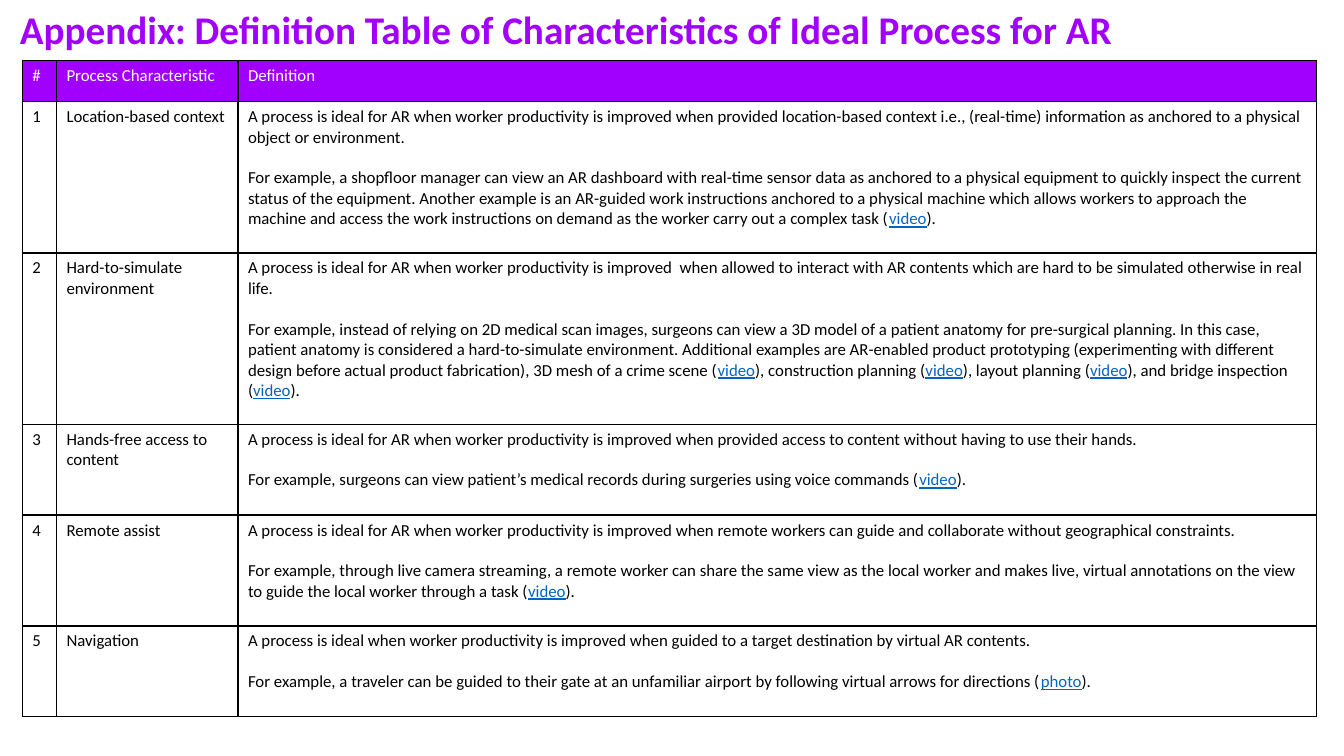
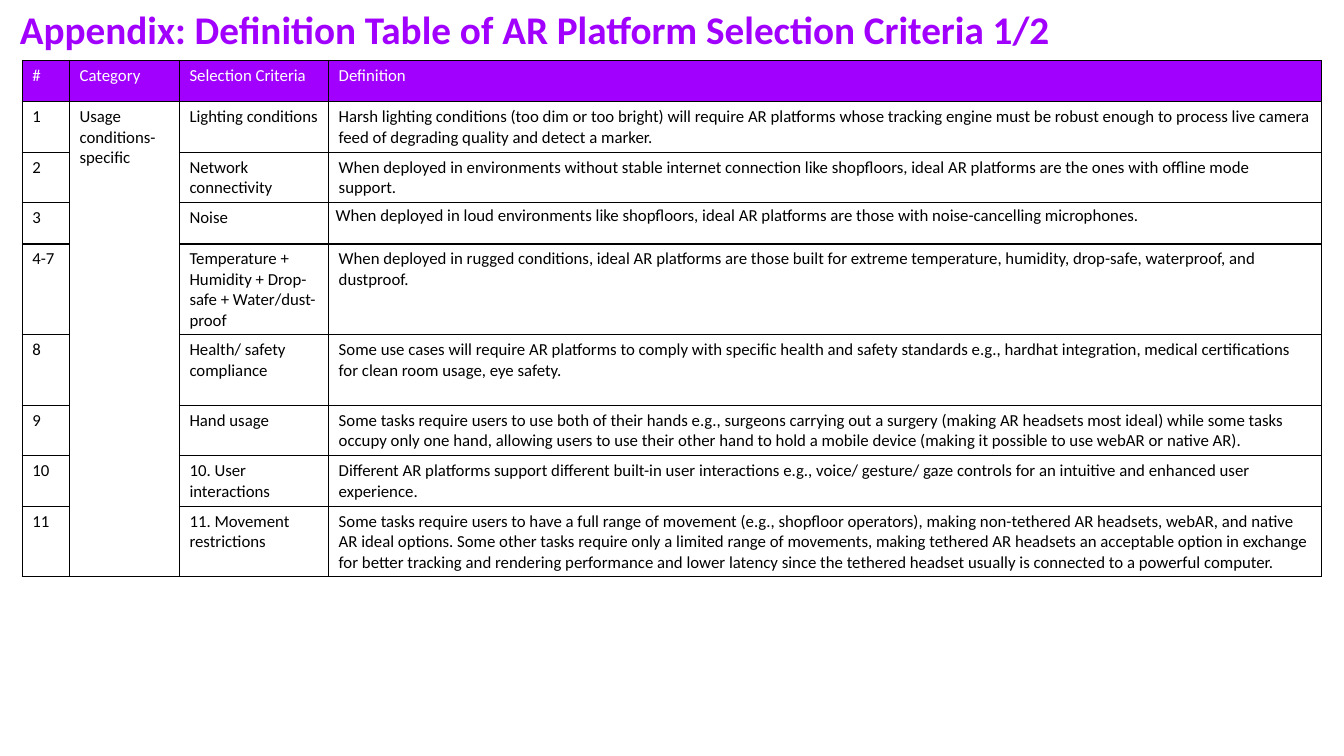
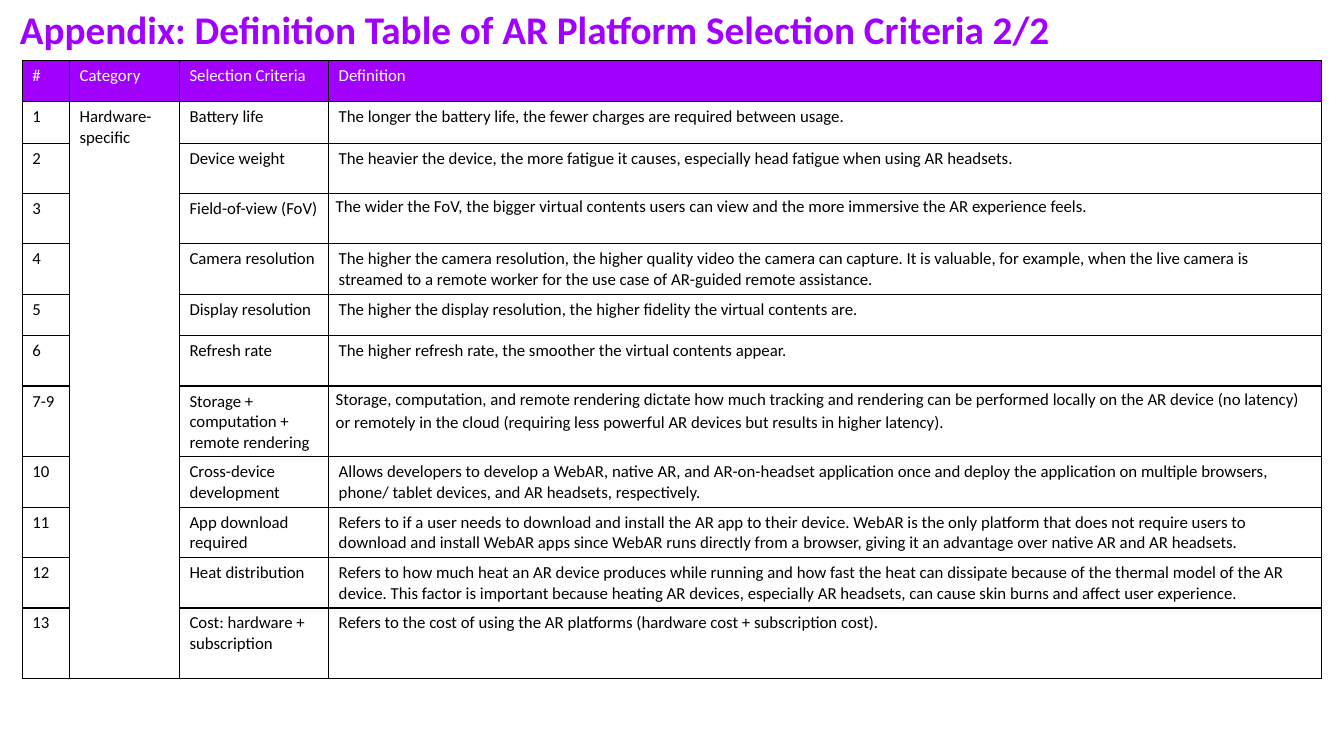
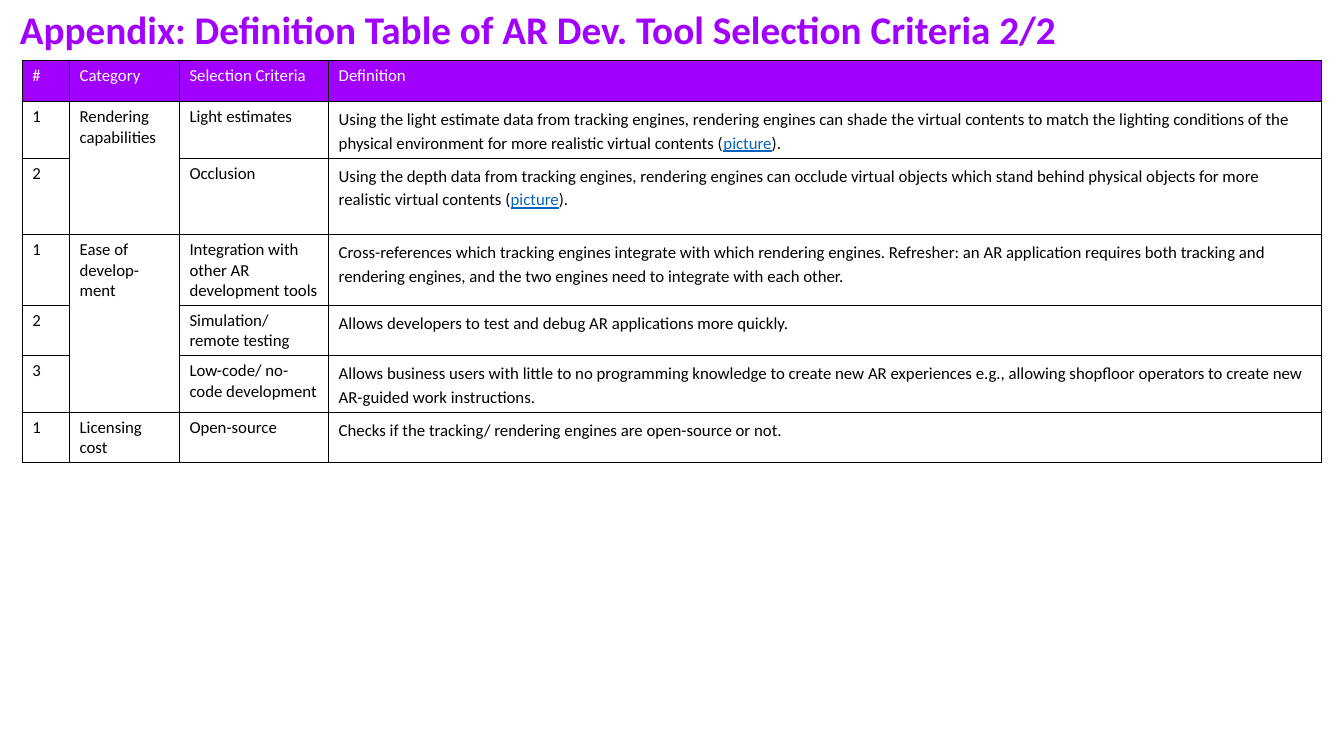
from dataclasses import dataclass

import pptx
import pptx.dml.color
import pptx.oxml
import pptx.oxml.ns
import pptx.util
from pptx.util import Inches, Pt

PURPLE = pptx.dml.color.RGBColor(0xA1, 0x00, 0xFF)
WHITE = pptx.dml.color.RGBColor(0xFF, 0xFF, 0xFF)
BLACK = pptx.dml.color.RGBColor(0x00, 0x00, 0x00)
LINK_BLUE = pptx.dml.color.RGBColor(0x05, 0x63, 0xC1)

FONT = "Calibri"
HEADER_HEIGHT = 0.41
LINE_HEIGHT = 0.2
TABLE_LEFT, TABLE_TOP = 0.22, 0.6

CHARACTERISTIC_COLUMNS = {"#": 0.34, "Process Characteristic": 1.8, "Definition": 10.7}
CRITERIA_COLUMNS = {"#": 0.47, "Category": 1.09, "Selection Criteria": 1.48, "Definition": 9.85}


@dataclass
class Entry:
    """One table row; a cell of None continues the cell above, [brackets] mark links."""
    cells: tuple
    height: float = HEADER_HEIGHT
    spacing: float = 1.0
    tight: bool = False


CHARACTERISTICS = [
    Entry(("1", "Location-based context",
           "A process is ideal for AR when worker productivity is improved when provided "
           "location-based context i.e., (real-time) information as anchored to a physical "
           "object or environment.\n"
           "For example, a shopfloor manager can view an AR dashboard with real-time sensor data "
           "as anchored to a physical equipment to quickly inspect the current status of the "
           "equipment. Another example is an AR-guided work instructions anchored to a physical "
           "machine which allows workers to approach the machine and access the work instructions "
           "on demand as the worker carry out a complex task ([video])."), 1.5),
    Entry(("2", "Hard-to-simulate environment",
           "A process is ideal for AR when worker productivity is improved  when allowed to "
           "interact with AR contents which are hard to be simulated otherwise in real life.\n"
           "For example, instead of relying on 2D medical scan images, surgeons can view a 3D "
           "model of a patient anatomy for pre-surgical planning. In this case, patient anatomy "
           "is considered a hard-to-simulate environment. Additional examples are AR-enabled "
           "product prototyping (experimenting with different design before actual product "
           "fabrication), 3D mesh of a crime scene ([video]), construction planning ([video]), "
           "layout planning ([video]), and bridge inspection ([video])."), 1.7),
    Entry(("3", "Hands-free access to content",
           "A process is ideal for AR when worker productivity is improved when provided access "
           "to content without having to use their hands.\n"
           "For example, surgeons can view patient’s medical records during surgeries using voice "
           "commands ([video])."), 0.9),
    Entry(("4", "Remote assist",
           "A process is ideal for AR when worker productivity is improved when remote workers "
           "can guide and collaborate without geographical constraints.\n"
           "For example, through live camera streaming, a remote worker can share the same view "
           "as the local worker and makes live, virtual annotations on the view to guide the "
           "local worker through a task ([video])."), 1.1),
    Entry(("5", "Navigation",
           "A process is ideal when worker productivity is improved when guided to a target "
           "destination by virtual AR contents.\n"
           "For example, a traveler can be guided to their gate at an unfamiliar airport by "
           "following virtual arrows for directions ([photo])."), 0.9),
]

USAGE_CRITERIA = [
    Entry(("1", "Usage conditions-specific", "Lighting conditions",
           "Harsh lighting conditions (too dim or too bright) will require AR platforms whose "
           "tracking engine must be robust enough to process live camera feed of degrading "
           "quality and detect a marker."), 0.5),
    Entry(("2", None, "Network connectivity",
           "When deployed in environments without stable internet connection like shopfloors, "
           "ideal AR platforms are the ones with offline mode support."), 0.5),
    Entry(("3", None, "Noise",
           "When deployed in loud environments like shopfloors, ideal AR platforms are those with "
           "noise-cancelling microphones."), spacing=1.15, tight=True),
    Entry(("4-7", None, "Temperature + Humidity + Drop-safe + Water/dust-proof",
           "When deployed in rugged conditions, ideal AR platforms are those built for extreme "
           "temperature, humidity, drop-safe, waterproof, and dustproof."), 0.9),
    Entry(("8", None, "Health/ safety compliance",
           "Some use cases will require AR platforms to comply with specific health and safety "
           "standards e.g., hardhat integration, medical certifications for clean room usage, "
           "eye safety."), 0.7),
    Entry(("9", None, "Hand usage",
           "Some tasks require users to use both of their hands e.g., surgeons carrying out a "
           "surgery (making AR headsets most ideal) while some tasks occupy only one hand, "
           "allowing users to use their other hand to hold a mobile device (making it possible "
           "to use webAR or native AR)."), 0.5),
    Entry(("10", None, "10. User interactions",
           "Different AR platforms support different built-in user interactions e.g., voice/ "
           "gesture/ gaze controls for an intuitive and enhanced user experience."), 0.5),
    Entry(("11", None, "11. Movement restrictions",
           "Some tasks require users to have a full range of movement (e.g., shopfloor "
           "operators), making non-tethered AR headsets, webAR, and native AR ideal options. Some "
           "other tasks require only a limited range of movements, making tethered AR headsets an "
           "acceptable option in exchange for better tracking and rendering performance and lower "
           "latency since the tethered headset usually is connected to a powerful computer."), 0.7),
]

HARDWARE_CRITERIA = [
    Entry(("1", "Hardware-specific", "Battery life",
           "The longer the battery life, the fewer charges are required between usage.")),
    Entry(("2", None, "Device weight",
           "The heavier the device, the more fatigue it causes, especially head fatigue when "
           "using AR headsets."), 0.5),
    Entry(("3", None, "Field-of-view (FoV)",
           "The wider the FoV, the bigger virtual contents users can view and the more immersive "
           "the AR experience feels."), 0.5, spacing=1.15, tight=True),
    Entry(("4", None, "Camera resolution",
           "The higher the camera resolution, the higher quality video the camera can capture. "
           "It is valuable, for example, when the live camera is streamed to a remote worker for "
           "the use case of AR-guided remote assistance."), 0.5),
    Entry(("5", None, "Display resolution",
           "The higher the display resolution, the higher fidelity the virtual contents are.")),
    Entry(("6", None, "Refresh rate",
           "The higher refresh rate, the smoother the virtual contents appear."), 0.5),
    Entry(("7-9", None, "Storage + computation + remote rendering",
           "Storage, computation, and remote rendering dictate how much tracking and rendering "
           "can be performed locally on the AR device (no latency) or remotely in the cloud "
           "(requiring less powerful AR devices but results in higher latency)."),
          0.7, spacing=1.15, tight=True),
    Entry(("10", None, "Cross-device development",
           "Allows developers to develop a WebAR, native AR, and AR-on-headset application once "
           "and deploy the application on multiple browsers, phone/ tablet devices, and AR "
           "headsets, respectively."), 0.5),
    Entry(("11", None, "App download required",
           "Refers to if a user needs to download and install the AR app to their device. WebAR "
           "is the only platform that does not require users to download and install WebAR apps "
           "since WebAR runs directly from a browser, giving it an advantage over native AR and "
           "AR headsets."), 0.5),
    Entry(("12", None, "Heat distribution",
           "Refers to how much heat an AR device produces while running and how fast the heat can "
           "dissipate because of the thermal model of the AR device. This factor is important "
           "because heating AR devices, especially AR headsets, can cause skin burns and affect "
           "user experience."), 0.5),
    Entry(("13", None, "Cost: hardware + subscription",
           "Refers to the cost of using the AR platforms (hardware cost + subscription cost)."),
          0.7),
]

TOOL_CRITERIA = [
    Entry(("1", "Rendering capabilities", "Light estimates",
           "Using the light estimate data from tracking engines, rendering engines can shade the "
           "virtual contents to match the lighting conditions of the physical environment for "
           "more realistic virtual contents ([picture])."), 0.56, spacing=1.15),
    Entry(("2", None, "Occlusion",
           "Using the depth data from tracking engines, rendering engines can occlude virtual "
           "objects which stand behind physical objects for more realistic virtual contents "
           "([picture])."), 0.76, spacing=1.15),
    Entry(("1", "Ease of develop-ment", "Integration with other AR development tools",
           "Cross-references which tracking engines integrate with which rendering engines. "
           "Refresher: an AR application requires both tracking and rendering engines, and the "
           "two engines need to integrate with each other."), 0.7, spacing=1.15),
    Entry(("2", None, "Simulation/ remote testing",
           "Allows developers to test and debug AR applications more quickly."),
          0.5, spacing=1.15),
    Entry(("3", None, "Low-code/ no-code development",
           "Allows business users with little to no programming knowledge to create new AR "
           "experiences e.g., allowing shopfloor operators to create new AR-guided work "
           "instructions."), 0.56, spacing=1.15),
    Entry(("1", "Licensing cost", "Open-source",
           "Checks if the tracking/ rendering engines are open-source or not."),
          0.5, spacing=1.15),
]


def write_text(frame, text, size=12, color=BLACK, bold=False, spacing=1.0):
    """Fill a frame, one paragraph per line of text, with [bracketed] words as links."""
    for index, line in enumerate(text.split("\n")):
        para = frame.add_paragraph() if index else frame.paragraphs[0]
        para.line_spacing = spacing
        if index:
            para.space_before = Inches(LINE_HEIGHT)
        for part, words in enumerate(line.replace("]", "[").split("[")):
            is_link = part % 2 == 1
            span = para.add_run()
            span.text = words
            span.font.name = FONT
            span.font.size = Pt(size)
            span.font.bold = bold
            span.font.underline = is_link
            span.font.color.rgb = LINK_BLUE if is_link else color


def draw_borders(cell):
    properties = cell._tc.get_or_add_tcPr()
    for side in ("lnL", "lnR", "lnT", "lnB"):
        properties.append(pptx.oxml.parse_xml(
            f'<a:{side} {pptx.oxml.ns.nsdecls("a")} w="{Pt(1)}">'
            f'<a:solidFill><a:srgbClr val="{BLACK}"/></a:solidFill></a:{side}>'))


def add_title(page, text):
    box = page.shapes.add_textbox(Inches(0.1), 0, Inches(13), Inches(0.57))
    box.text_frame.word_wrap = True
    write_text(box.text_frame, text, size=28, color=PURPLE, bold=True)


def add_definition_table(page, left, top, columns, entries):
    rows = [Entry(tuple(columns)), *entries]
    widths = list(columns.values())
    frame = page.shapes.add_table(
        len(rows), len(widths), Inches(left), Inches(top),
        Inches(sum(widths)), Inches(sum(row.height for row in rows)))
    table = frame.table
    table.first_row = table.horz_banding = False
    for column, width in zip(table.columns, widths):
        column.width = Inches(width)

    last_column = len(widths) - 1
    anchors = {}
    for y, entry in enumerate(rows):
        table.rows[y].height = Inches(entry.height)
        for x, text in enumerate(entry.cells):
            cell = table.cell(y, x)
            draw_borders(cell)
            if y == 0:
                cell.fill.solid()
                cell.fill.fore_color.rgb = PURPLE
            else:
                cell.fill.background()
            if text is None:
                anchors[x, anchors["start", x]] = y
                continue
            anchors["start", x] = y
            is_definition = x == last_column
            if is_definition and entry.tight:
                cell.margin_left = cell.margin_right = Inches(0.07)
                cell.margin_top = cell.margin_bottom = 0
            write_text(cell.text_frame, text, color=BLACK if y else WHITE,
                       spacing=entry.spacing if is_definition else 1.0)

    for (x, start), end in anchors.items():
        if x != "start":
            table.cell(start, x).merge(table.cell(end, x))


def add_definition_slide(deck, title, columns, entries):
    page = deck.slides.add_slide(deck.slide_layouts[6])
    add_title(page, title)
    add_definition_table(page, TABLE_LEFT, TABLE_TOP, columns, entries)


def main():
    deck = pptx.Presentation()
    deck.slide_width, deck.slide_height = Inches(13.33), Inches(7.5)
    for subject, columns, entries in (
        ("Characteristics of Ideal Process for AR", CHARACTERISTIC_COLUMNS, CHARACTERISTICS),
        ("AR Platform Selection Criteria 1/2", CRITERIA_COLUMNS, USAGE_CRITERIA),
        ("AR Platform Selection Criteria 2/2", CRITERIA_COLUMNS, HARDWARE_CRITERIA),
        ("AR Dev. Tool Selection Criteria 2/2", CRITERIA_COLUMNS, TOOL_CRITERIA),
    ):
        add_definition_slide(deck, f"Appendix: Definition Table of {subject}", columns, entries)
    deck.save("out.pptx")


if __name__ == "__main__":
    main()
